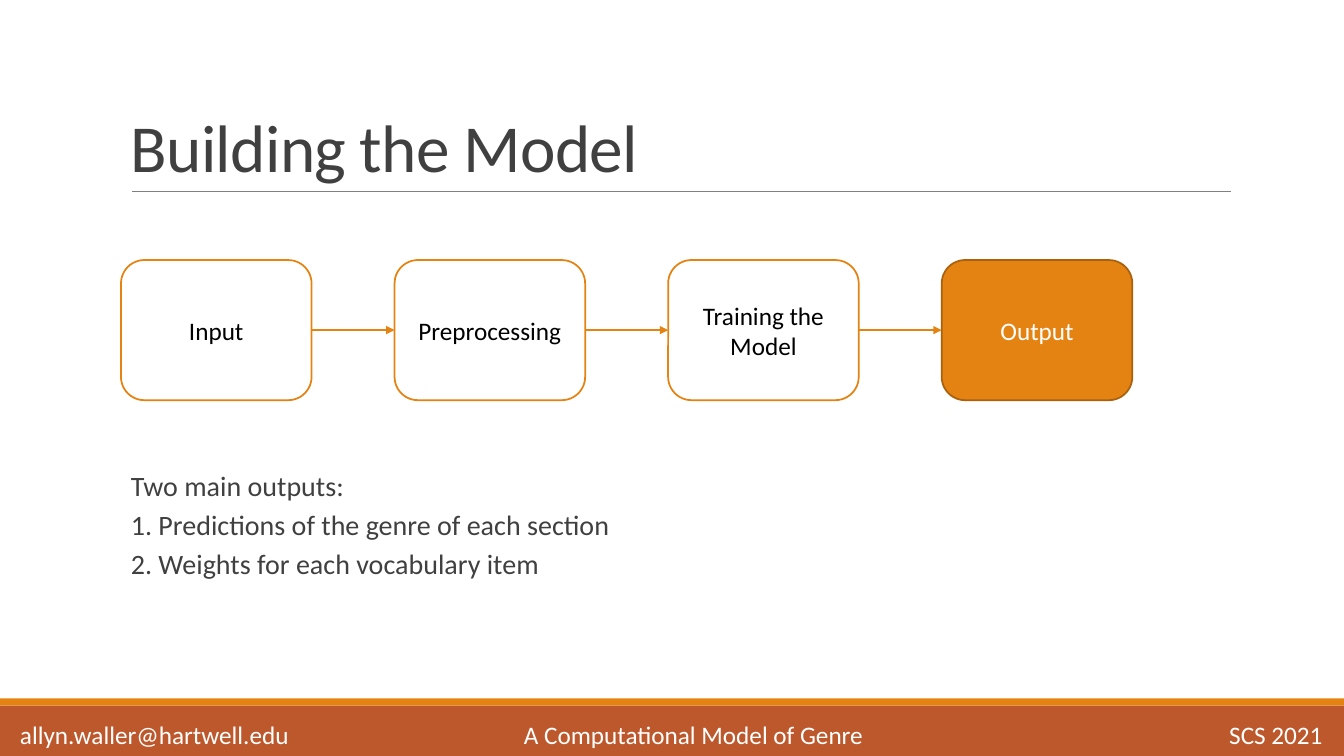
from lxml.etree import SubElement
from pptx import Presentation
from pptx.dml.color import RGBColor
from pptx.enum.shapes import MSO_CONNECTOR as CONN, MSO_SHAPE as SHAPE
from pptx.enum.text import MSO_ANCHOR as ANCHOR, PP_ALIGN as ALIGN
from pptx.oxml.ns import qn
from pptx.util import Inches, Pt

WHITE = RGBColor(0xFF, 0xFF, 0xFF)
BLACK = RGBColor(0x00, 0x00, 0x00)
GRAY = RGBColor(0x80, 0x80, 0x80)
DARK = RGBColor(0x40, 0x40, 0x40)
ORANGE = RGBColor(0xE4, 0x83, 0x12)
BROWN = RGBColor(0xA9, 0x61, 0x0D)
RUST = RGBColor(0xBD, 0x58, 0x2C)

STEPS = ["Input", "Preprocessing", "Training the Model", "Output"]
OUTPUTS = [
    "Two main outputs:",
    "1. Predictions of the genre of each section",
    "2. Weights for each vocabulary item",
]
FOOTER = ["allyn.waller@hartwell.edu", "A Computational Model of Genre", "SCS 2021"]


def style(p, size, color):
    """Set the font of a paragraph."""
    p.font.name, p.font.size, p.font.color.rgb = "Calibri", Pt(size), color


def add_box(s, kind, x, y, w, h, fill, line=None):
    """Add a flat filled shape, outlined if a line colour is given."""
    sp = s.shapes.add_shape(kind, Inches(x), Inches(y), Inches(w), Inches(h))
    sp.shadow.inherit = False
    sp.fill.solid()
    sp.fill.fore_color.rgb = fill
    if line is None:
        sp.line.fill.background()
    else:
        sp.line.color.rgb, sp.line.width = line, Pt(1.25)
    return sp


def add_line(s, x1, x2, y, color, width, arrow=False):
    """Add a horizontal line, with an arrowhead at its end if asked."""
    ln = s.shapes.add_connector(CONN.STRAIGHT, Inches(x1), Inches(y), Inches(x2), Inches(y))
    ln.line.color.rgb, ln.line.width = color, Pt(width)
    if arrow:
        SubElement(ln.line._get_or_add_ln(), qn("a:tailEnd"), type="triangle")
    SubElement(ln._element.spPr, qn("a:effectLst"))


def add_text(s, x, y, w, h):
    """Add a wrapping text box and return its text frame."""
    tf = s.shapes.add_textbox(Inches(x), Inches(y), Inches(w), Inches(h)).text_frame
    tf.word_wrap = True
    return tf


def add_title(s, x, y, w, h, text):
    """Add the title with the rule beneath it."""
    add_line(s, x + 0.11, x + w + 0.01, y + h, GRAY, 0.5)
    tf = add_text(s, x, y, w, h)
    tf.vertical_anchor = ANCHOR.BOTTOM
    p = tf.paragraphs[0]
    p.line_spacing = 0.85
    r = p.add_run()
    r.text = text
    style(r, 48, DARK)
    r.font._element.set("spc", "-50")


def add_flow(s, x, y, w, h, steps):
    """Add equal step boxes joined by arrows, the last one highlighted."""
    box_w = 1.89
    pitch = (w - box_w) / (len(steps) - 1)
    for i, step in enumerate(steps):
        left = x + i * pitch
        last = i == len(steps) - 1
        fill, line, color = (ORANGE, BROWN, WHITE) if last else (WHITE, ORANGE, BLACK)
        sp = add_box(s, SHAPE.ROUNDED_RECTANGLE, left, y, box_w, h, fill, line)
        tf = sp.text_frame
        tf.word_wrap = True
        tf.vertical_anchor = ANCHOR.MIDDLE
        p = tf.paragraphs[0]
        p.text, p.alignment = step, ALIGN.CENTER
        style(p, 18, color)
        if not last:
            add_line(s, left + box_w, left + pitch, y + h / 2, ORANGE, 1, arrow=True)


def add_body(s, x, y, w, h, lines):
    """Add the list of outputs."""
    tf = add_text(s, x, y, w, h)
    for i, line in enumerate(lines):
        p = tf.add_paragraph() if i else tf.paragraphs[0]
        p.text = line
        p.line_spacing, p.space_after = 0.9, Pt(6)
        style(p, 20, DARK)


def add_footer(s, x, y, w, h, parts):
    """Add the footer bands and one line with centre and right tab stops."""
    band = 0.07
    add_box(s, SHAPE.RECTANGLE, x, y + band, w, h - band, RUST)
    add_box(s, SHAPE.RECTANGLE, x, y, w, band, ORANGE)
    p = add_text(s, x + 0.1, y + 0.16, w - 0.1, 0.41).paragraphs[0]
    p.text = "\t".join(parts)
    style(p, 18, WHITE)
    tabs = SubElement(p._p.get_or_add_pPr(), qn("a:tabLst"))
    p._p.pPr.insert(0, tabs)
    for pos, align in ((6.68, "ctr"), (12.92, "r")):
        SubElement(tabs, qn("a:tab"), pos=str(Inches(pos)), algn=align)


def main():
    """Build the slide and save it."""
    prs = Presentation()
    prs.slide_width, prs.slide_height = Inches(13.33), Inches(7.5)
    s = prs.slides.add_slide(prs.slide_layouts[6])
    add_footer(s, 0, 6.93, 13.33, 0.57, FOOTER)
    add_title(s, 1.2, 0.31, 11, 1.59, "Building the Model")
    add_body(s, 1.2, 4.64, 11, 1.78, OUTPUTS)
    add_flow(s, 1.2, 2.58, 10.03, 1.39, STEPS)
    prs.save("out.pptx")


if __name__ == "__main__":
    main()
